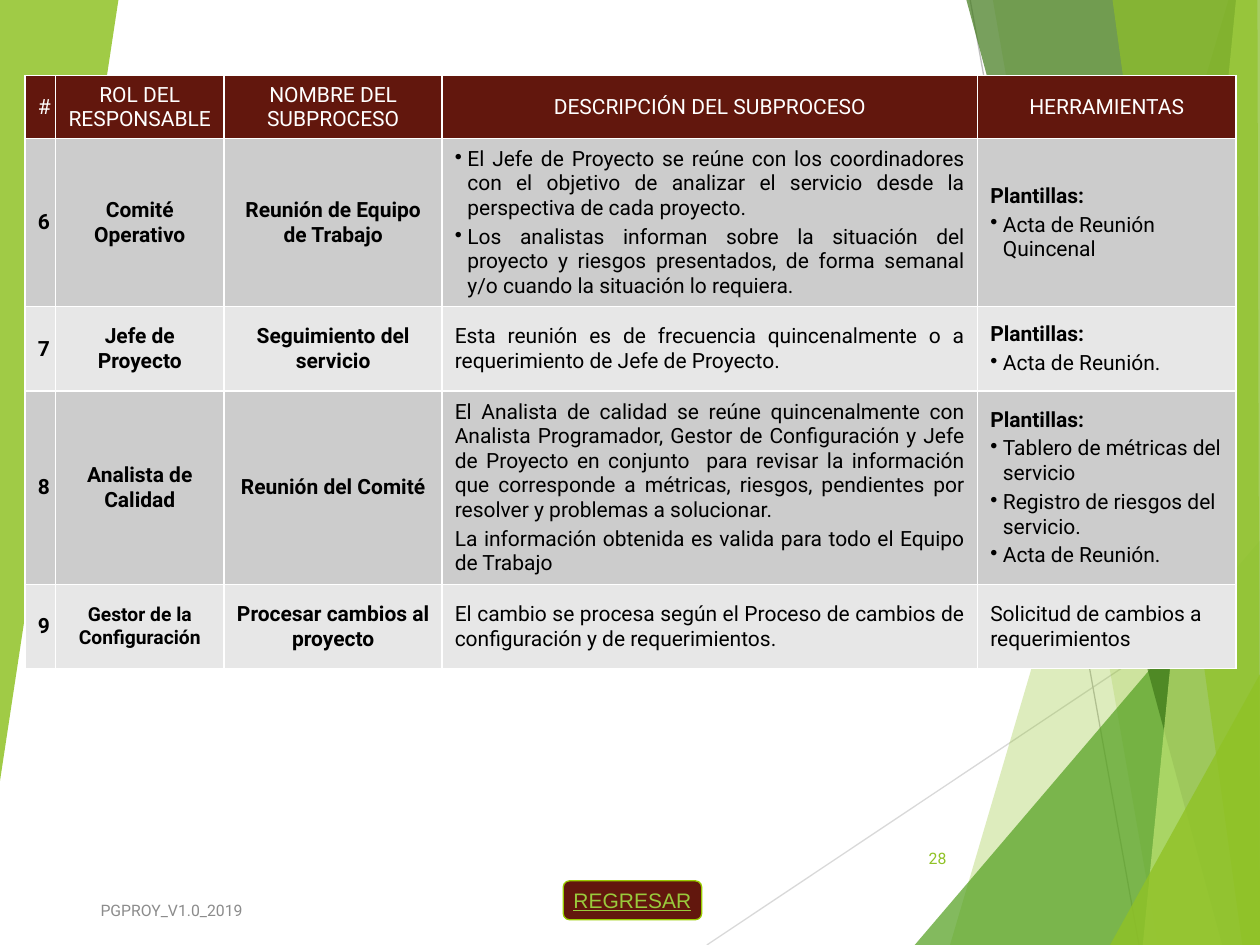
from lxml.etree import SubElement
from pptx import Presentation
from pptx.dml.color import RGBColor
from pptx.enum.shapes import MSO_CONNECTOR, MSO_SHAPE
from pptx.enum.text import MSO_ANCHOR, PP_ALIGN
from pptx.oxml import parse_xml
from pptx.oxml.ns import nsdecls, qn
from pptx.util import Inches, Pt

WHITE = RGBColor(0xFF, 0xFF, 0xFF)
BLACK = RGBColor(0, 0, 0)
MAROON = RGBColor(0x62, 0x17, 0x0D)
DARK_ROW = RGBColor(0xCC, 0xCC, 0xCC)
LIGHT_ROW = RGBColor(0xE7, 0xE7, 0xE7)
GREEN = RGBColor(0x90, 0xC2, 0x26)
MID_GREEN = RGBColor(0x54, 0xA0, 0x21)
DEEP_GREEN = RGBColor(0x3F, 0x78, 0x19)
PALE_GREEN = RGBColor(0xC0, 0xE4, 0x74)
BUTTON_EDGE = RGBColor(0x99, 0xCC, 0x00)
BUTTON_TEXT = RGBColor(0x99, 0xCA, 0x3C)
FOOTER_GRAY = RGBColor(0x8C, 0x8C, 0x8C)
RAY_LIGHT = RGBColor(0xD9, 0xD9, 0xD9)
RAY_DARK = RGBColor(0xBF, 0xBF, 0xBF)

WIDTH, HEIGHT = 10, 7.5


def style(paragraph, size, color, font="Roboto", bold=False, align=PP_ALIGN.LEFT):
    paragraph.alignment = align
    paragraph.font.size = Pt(size)
    paragraph.font.name = font
    paragraph.font.bold = bold
    paragraph.font.color.rgb = color


prs = Presentation()
prs.slide_width, prs.slide_height = Inches(WIDTH), Inches(HEIGHT)
slide = prs.slides.add_slide(prs.slide_layouts[6])
shapes = slide.shapes

# Background rays and translucent facets
rays = [((5.61, HEIGHT), (WIDTH, 4.57), RAY_LIGHT),
        ((7.7, 0), (9.04, HEIGHT), RAY_DARK)]
for start, end, color in rays:
    ray = shapes.add_connector(MSO_CONNECTOR.STRAIGHT, *map(Inches, start + end))
    ray.line.color.rgb = color
    ray.line.width = Pt(0.75)
    SubElement(ray._element.spPr, qn("a:effectLst"))

bottom_right, top_right = (WIDTH, HEIGHT), (WIDTH, 0)
facets = [
    (GREEN, 30, [(9.75, 0), (7.54, HEIGHT), bottom_right, top_right]),
    (GREEN, 20, [(7.88, 0), (9.19, HEIGHT), bottom_right, top_right]),
    (MID_GREEN, 72, [(7.26, HEIGHT), (WIDTH, 4.29), bottom_right]),
    (DEEP_GREEN, 70, [(7.67, 0), (9.7, HEIGHT), bottom_right, top_right]),
    (PALE_GREEN, 70, [(9.81, 0), (9.07, HEIGHT), bottom_right, top_right]),
    (GREEN, 65, [(8.83, 0), (9.86, HEIGHT), bottom_right, (9.98, 0)]),
    (GREEN, 80, [(8.81, HEIGHT), (WIDTH, 5.35), bottom_right]),
    (GREEN, 85, [(0, 0), (0.94, 0), (0, 6.2)]),
]
for color, opacity, corners in facets:
    first, *rest = [(Inches(x), Inches(y)) for x, y in corners]
    outline = shapes.build_freeform(*first)
    outline.add_line_segments(rest, close=True)
    facet = outline.convert_to_shape()
    facet.shadow.inherit = False
    facet.fill.solid()
    facet.fill.fore_color.rgb = color
    facet.line.fill.background()
    tint = facet._element.spPr.find(qn("a:solidFill"))[0]
    SubElement(tint, qn("a:alpha"), val=str(opacity * 1000))

# Footer and slide number
footers = [
    ("PGPROY_V1.0_2019", (0.7, 7.1, 3.96, 0.4), FOOTER_GRAY, PP_ALIGN.LEFT, MSO_ANCHOR.TOP),
    ("28", (7.05, 6.61, 0.56, 0.4), GREEN, PP_ALIGN.RIGHT, MSO_ANCHOR.MIDDLE),
]
for text, place, color, align, anchor in footers:
    frame = shapes.add_textbox(*map(Inches, place)).text_frame
    frame.word_wrap = True
    frame.vertical_anchor = anchor
    frame.text = text
    style(frame.paragraphs[0], 9, color, align=align)

# Subprocess table: one tuple of paragraphs per cell, "• " marks a bullet
BULLET = "• "
rows = [
    [("#",), ("ROL DEL RESPONSABLE",), ("NOMBRE DEL SUBPROCESO",),
     ("DESCRIPCIÓN DEL SUBPROCESO",), ("HERRAMIENTAS",)],
    [("6",), ("Comité Operativo",), ("Reunión de Equipo de Trabajo",),
     ("• El Jefe de Proyecto se reúne con los coordinadores con el objetivo de "
      "analizar el servicio desde la perspectiva de cada proyecto.",
      "• Los analistas informan sobre la situación del proyecto y riesgos presentados, "
      "de forma semanal y/o cuando la situación lo requiera."),
     ("Plantillas:", "• Acta de Reunión Quincenal")],
    [("7",), ("Jefe de Proyecto",), ("Seguimiento del servicio",),
     ("Esta reunión es de frecuencia quincenalmente o a requerimiento de Jefe de Proyecto.",),
     ("Plantillas:", "• Acta de Reunión.")],
    [("8",), ("Analista de Calidad",), ("Reunión del Comité",),
     ("El Analista de calidad se reúne quincenalmente con Analista Programador, Gestor de "
      "Configuración y Jefe de Proyecto en conjunto  para revisar la información que "
      "corresponde a métricas, riesgos, pendientes por resolver y problemas a solucionar.",
      "La información obtenida es valida para todo el Equipo de Trabajo"),
     ("Plantillas:", "• Tablero de métricas del servicio",
      "• Registro de riesgos del servicio.", "• Acta de Reunión.")],
    [("9",), ("Gestor de la Configuración",), ("Procesar cambios al proyecto",),
     ("El cambio se procesa según el Proceso de cambios de configuración y de requerimientos.",),
     ("Solicitud de cambios a requerimientos",)],
]
column_widths = [0.24, 1.34, 1.73, 4.25, 2.05]
row_heights = [0.49, 1.3, 0.67, 1.5, 0.67]
column_aligns = [PP_ALIGN.CENTER] * 3 + [PP_ALIGN.JUSTIFY, PP_ALIGN.LEFT]

table = shapes.add_table(
    len(rows), len(column_widths), Inches(0.2), Inches(0.6),
    Inches(sum(column_widths)), Inches(sum(row_heights))).table
for column, width in zip(table.columns, column_widths):
    column.width = Inches(width)
for row, height in zip(table.rows, row_heights):
    row.height = Inches(height)

for r, row in enumerate(rows):
    header = r == 0
    for c, texts in enumerate(row):
        cell = table.cell(r, c)
        cell.vertical_anchor = MSO_ANCHOR.MIDDLE
        cell.fill.solid()
        cell.fill.fore_color.rgb = MAROON if header else DARK_ROW if r % 2 else LIGHT_ROW
        cell_props = cell._tc.get_or_add_tcPr()
        for i, side in enumerate(("lnL", "lnR", "lnT", "lnB")):
            cell_props.insert(i, parse_xml(
                f'<a:{side} {nsdecls("a")} w="{Pt(1)}"><a:solidFill>'
                f'<a:srgbClr val="{WHITE}"/></a:solidFill></a:{side}>'))

        cell.text = "\n".join(text.removeprefix(BULLET) for text in texts)
        for paragraph, text in zip(cell.text_frame.paragraphs, texts):
            style(paragraph,
                  11 if text == "Gestor de la Configuración" else 12,
                  WHITE if header else BLACK,
                  bold=not header and (c < 3 or text == "Plantillas:"),
                  align=PP_ALIGN.CENTER if header else column_aligns[c])
            if not header:
                paragraph.space_before = Pt(2.4)
            if text.startswith(BULLET):
                props = paragraph._p.get_or_add_pPr()
                props.set("marL", str(Inches(0.1)))
                props.set("indent", str(-Inches(0.1)))
                bullet = parse_xml(f'<a:buChar {nsdecls("a")} char="•"/>')
                props.find(qn("a:defRPr")).addprevious(bullet)

# Return button
button = shapes.add_shape(MSO_SHAPE.FLOWCHART_ALTERNATE_PROCESS,
                          *map(Inches, (4.47, 6.99, 1.1, 0.31)))
button.shadow.inherit = False
button.fill.solid()
button.fill.fore_color.rgb = MAROON
button.line.color.rgb = BUTTON_EDGE
button.line.width = Pt(0.75)
label = button.text_frame
label.word_wrap = False
label.vertical_anchor = MSO_ANCHOR.MIDDLE
label.text = "REGRESAR"
style(label.paragraphs[0], 12, BUTTON_TEXT, font="Arial", align=PP_ALIGN.CENTER)
label.paragraphs[0].font.underline = True

prs.save("out.pptx")
